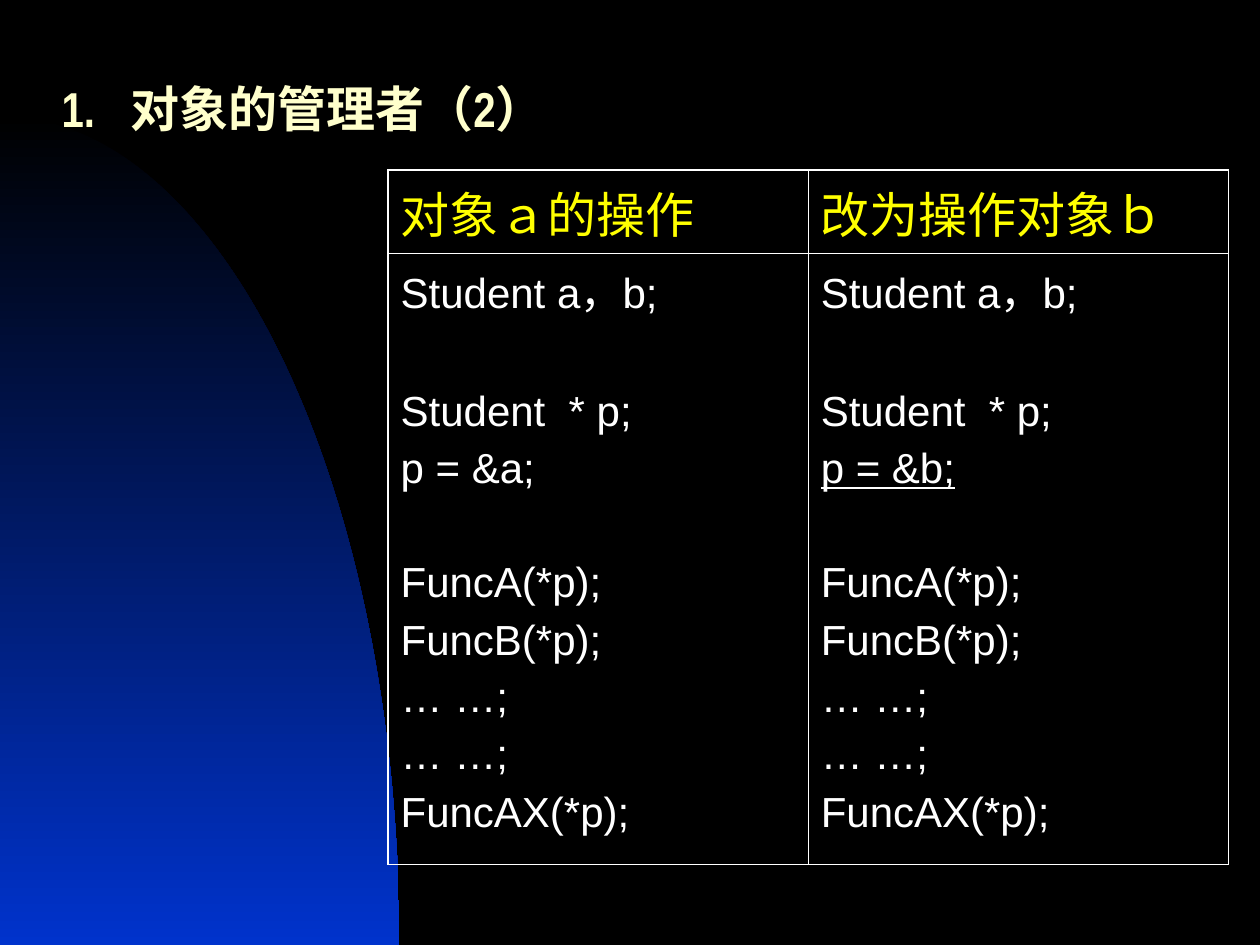
import math

import lxml.etree
import pptx
import pptx.dml.color
import pptx.enum.text
import pptx.oxml.ns
import pptx.util

Inches, Pt = pptx.util.Inches, pptx.util.Pt
RGB = pptx.dml.color.RGBColor.from_string
ALIGN = pptx.enum.text.PP_ALIGN
qn = pptx.oxml.ns.qn

TITLE = "1.\t对象的管理者（2）"
HEADERS = ("对象ａ的操作", "改为操作对象ｂ")
# Each column's code, grouped into blocks that stand one line apart
CODE = [
    [
        ["Student a，b;"],
        ["Student  * p;", f"p = &{target};"],
        ["FuncA(*p);", "FuncB(*p);", "… …;", "… …;", "FuncAX(*p);"],
    ]
    for target in "ab"
]
UNDERLINED = "p = &b;"
CODE_ALIGN = (ALIGN.JUSTIFY, ALIGN.LEFT)

THEME = {
    "back": "000000", "arc": "0033CC", "line": "FFFFFF",
    "title": "FFFFCC", "header": "FFFF00", "code": "FFFFFF",
    "title_font": "Arial Narrow", "cjk_font": "Noto Sans CJK SC", "code_font": "Arial",
    "large": 28, "small": 24, "outer": 1.08, "inner": 0.45,
    "line_gap": 6, "block_gap": 38.5,
}

W, H = 10, 7.5
ARC_W, ARC_H = 3.17, 6.58
TITLE_BOX = (0.39, 0.52, 9.25, 0.79)
TITLE_TAB = 0.55
TABLE_LEFT, TABLE_TOP, TABLE_W = 3.08, 1.35, 6.67
ROWS = (0.65, 4.85)


def style(p, text, size, color, font, ea=None):
    p.text = text
    p.font.size = Pt(size)
    p.font.color.rgb = RGB(color)
    p.font.name = font
    if ea:
        latin = p._p.pPr.find(qn("a:defRPr")).find(qn("a:latin"))
        node = lxml.etree.Element(qn("a:ea"), typeface=ea)
        latin.addnext(node)


def add_arc(slide):
    """A quarter ellipse standing in the bottom left corner."""
    steps = 90
    angles = [math.pi / 2 * i / steps for i in range(steps + 1)]
    points = [(Inches(ARC_W * math.sin(a)), Inches(H - ARC_H * math.cos(a))) for a in angles]
    builder = slide.shapes.build_freeform(*points[0])
    builder.add_line_segments(points[1:] + [(0, Inches(H))], close=True)
    sp = builder.convert_to_shape()
    sp.shadow.inherit = False
    sp.line.fill.background()
    sp.fill.gradient()
    sp.fill.gradient_angle = 270
    for stop, position, color in zip(sp.fill.gradient_stops, (0, 1), ("back", "arc")):
        stop.position = position
        stop.color.rgb = RGB(THEME[color])


def add_title(slide):
    tf = slide.shapes.add_textbox(*map(Inches, TITLE_BOX)).text_frame
    tf.word_wrap = True
    tf.vertical_anchor = pptx.enum.text.MSO_ANCHOR.MIDDLE
    p = tf.paragraphs[0]
    p.line_spacing = 0.7
    tabs = lxml.etree.SubElement(p._p.get_or_add_pPr(), qn("a:tabLst"))
    lxml.etree.SubElement(tabs, qn("a:tab"), pos=str(Inches(TITLE_TAB)), algn="l")
    style(p, TITLE, THEME["large"], THEME["title"], THEME["title_font"], THEME["cjk_font"])
    p.font.bold = True


def frame_cell(cell, row, col):
    """Clear the fill and draw the borders, heavier on the table's outside."""
    tcPr = cell._tc.get_or_add_tcPr()
    outside = {"lnL": col == 0, "lnR": col == 1, "lnT": row == 0, "lnB": row == 1}
    for tag, is_outer in outside.items():
        width = Pt(THEME["outer" if is_outer else "inner"])
        ln = lxml.etree.SubElement(tcPr, qn(f"a:{tag}"), w=str(width))
        fill = lxml.etree.SubElement(ln, qn("a:solidFill"))
        lxml.etree.SubElement(fill, qn("a:srgbClr"), val=THEME["line"])
    cell.fill.background()


def write_code(tf, blocks, align):
    p = tf.paragraphs[0]
    for b, block in enumerate(blocks):
        for i, text in enumerate(block):
            if b or i:
                p = tf.add_paragraph()
                p.space_before = Pt(THEME["line_gap" if i else "block_gap"])
            p.alignment = align
            style(p, text, THEME["small"], THEME["code"], THEME["code_font"])
            if text == UNDERLINED:
                p.font.underline = True


def add_code_table(slide):
    box = map(Inches, (TABLE_LEFT, TABLE_TOP, TABLE_W, sum(ROWS)))
    table = slide.shapes.add_table(len(ROWS), len(HEADERS), *box).table
    table.first_row = table.horz_banding = False
    for row, height in zip(table.rows, ROWS):
        row.height = Inches(height)
    for col, header in enumerate(HEADERS):
        for row in range(len(ROWS)):
            frame_cell(table.cell(row, col), row, col)
        style(table.cell(0, col).text_frame.paragraphs[0], header, THEME["large"],
              THEME["header"], THEME["cjk_font"], THEME["cjk_font"])
        write_code(table.cell(1, col).text_frame, CODE[col], CODE_ALIGN[col])


def main():
    prs = pptx.Presentation()
    prs.slide_width, prs.slide_height = Inches(W), Inches(H)
    slide = prs.slides.add_slide(prs.slide_layouts[6])
    slide.background.fill.solid()
    slide.background.fill.fore_color.rgb = RGB(THEME["back"])
    add_arc(slide)
    add_code_table(slide)
    add_title(slide)
    prs.save("out.pptx")


if __name__ == "__main__":
    main()
